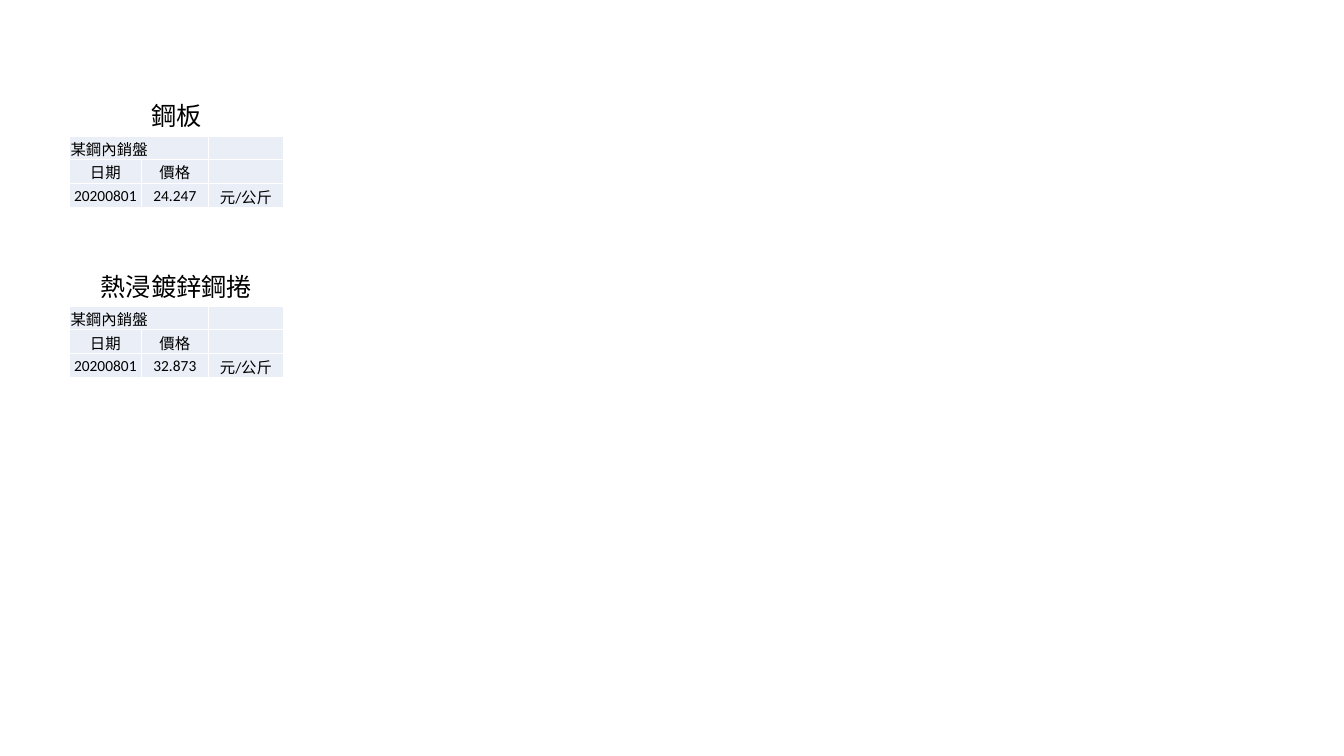
from lxml import etree
from pptx import Presentation
from pptx import util as u
from pptx.dml.color import RGBColor
from pptx.enum import text
from pptx.oxml import ns

TABLE_LEFT = 0.69
FIRST_TABLE_TOP = 1.35
TABLE_STEP = 1.69
COLUMNS = [0.71, 0.67, 0.74]
ROWS = [0.23, 0.24, 0.24]
CAPTION_HEIGHT = 0.4
CAPTION_PADDING = 0.2
CHARACTER_WIDTH = 0.25
PRICES = [("鋼板", "24.247"), ("熱浸鍍鋅鋼捲", "32.873")]


def paint(colour, value):
    colour.rgb = RGBColor.from_string(value)


def write(frame, words, size=11, align=None, font="Calibri", colour="000000"):
    paragraph = frame.paragraphs[0]
    paragraph.alignment = align
    if not words:
        end = etree.SubElement(paragraph._p, ns.qn("a:endParaRPr"))
        end.set("sz", str(size * 100))
        return
    run = paragraph.add_run()
    run.text = words
    run.font.size = u.Pt(size)
    run.font.name = font
    paint(run.font.color, colour)


def add_borders(cell, colour="FFFFFF", width=1):
    properties = cell._tc.get_or_add_tcPr()
    for position, side in enumerate(("lnL", "lnR", "lnT", "lnB")):
        line = etree.Element(ns.qn(f"a:{side}"), w=str(u.Pt(width)))
        fill = etree.SubElement(line, ns.qn("a:solidFill"))
        etree.SubElement(fill, ns.qn("a:srgbClr"), val=colour)
        properties.insert(position, line)


def format_cell(cell, words, align, anchor):
    cell.margin_left = cell.margin_right = cell.margin_top = u.Inches(0.01)
    cell.margin_bottom = 0
    cell.vertical_anchor = anchor
    cell.fill.solid()
    paint(cell.fill.fore_color, "EAEFF7")
    add_borders(cell)
    write(cell.text_frame, words, align=align)


def add_price_table(slide, top, price):
    content = [
        ["某鋼內銷盤", "", ""],
        ["日期", "價格", ""],
        ["20200801", price, "元/公斤"],
    ]
    table = slide.shapes.add_table(
        len(ROWS), len(COLUMNS), u.Inches(TABLE_LEFT), u.Inches(top),
        u.Inches(sum(COLUMNS)), u.Inches(sum(ROWS))).table
    table.first_row = table.horz_banding = False
    for column, width in zip(table.columns, COLUMNS):
        column.width = u.Inches(width)
    for row, height in zip(table.rows, ROWS):
        row.height = u.Inches(height)
    for r, line in enumerate(content):
        align = text.PP_ALIGN.CENTER if r else None
        anchor = text.MSO_ANCHOR.MIDDLE if r else text.MSO_ANCHOR.BOTTOM
        for c, words in enumerate(line):
            format_cell(table.cell(r, c), words, align, anchor)
    table.cell(0, 0).merge(table.cell(0, 1))


def add_caption(slide, table_top, words):
    width = CAPTION_PADDING + CHARACTER_WIDTH * len(words)
    left = TABLE_LEFT + (sum(COLUMNS) - width) / 2
    caption = slide.shapes.add_textbox(
        u.Inches(left), u.Inches(table_top - CAPTION_HEIGHT),
        u.Inches(width), u.Inches(CAPTION_HEIGHT)).text_frame
    caption.word_wrap = False
    caption.auto_size = text.MSO_AUTO_SIZE.SHAPE_TO_FIT_TEXT
    write(caption, words, size=18)


def main():
    deck = Presentation()
    deck.slide_width, deck.slide_height = u.Inches(13.33), u.Inches(7.5)
    slide = deck.slides.add_slide(deck.slide_layouts[6])
    for index, (product, price) in enumerate(PRICES):
        top = FIRST_TABLE_TOP + index * TABLE_STEP
        add_price_table(slide, top, price)
        add_caption(slide, top, product)
    deck.save("out.pptx")


if __name__ == "__main__":
    main()
